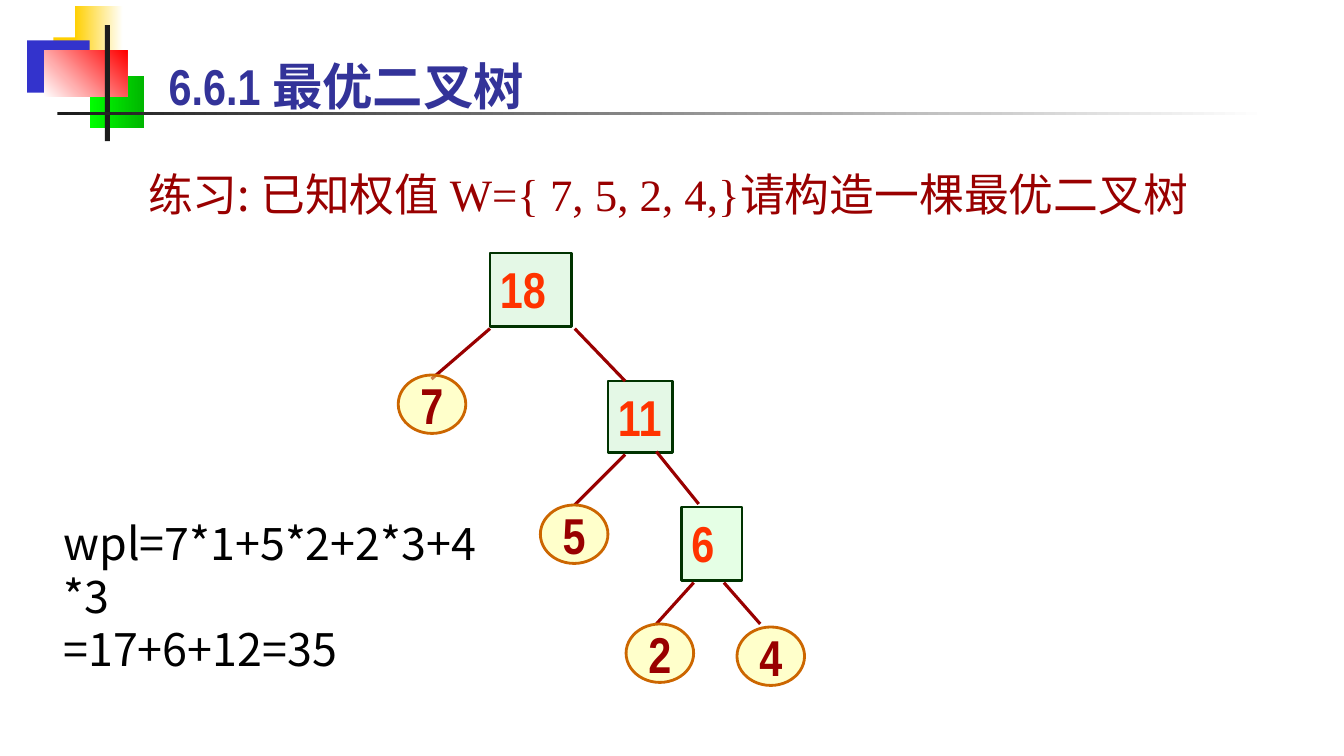
from dataclasses import dataclass
from lxml.etree import SubElement
from pptx import Presentation
from pptx.dml.color import RGBColor
from pptx.enum.shapes import MSO_CONNECTOR, MSO_SHAPE
from pptx.enum.text import MSO_ANCHOR, PP_ALIGN
from pptx.oxml.ns import qn
from pptx.util import Inches, Pt


@dataclass(frozen=True)
class Theme:
    gold: str = "FFCF01"
    blue: str = "3333CC"
    lime: str = "00FF00"
    green: str = "00B600"
    red: str = "FF0000"
    white: str = "FFFFFF"
    black: str = "000000"
    ink: str = "1C1C1C"
    title: str = "333399"
    maroon: str = "990000"
    mint: str = "CAF2CE"
    pale_mint: str = "CCFFCC"
    forest: str = "003300"
    cream: str = "FFFF99"
    amber: str = "CC6600"
    orange: str = "FF3300"
    narrow: str = "Arial Narrow"
    serif: str = "Times New Roman"
    sans: str = "Noto Sans CJK SC"
    indent_size: int = 40
    title_size: int = 36
    body_size: int = 32


class Deck:
    def __init__(self, theme):
        self.t = theme
        self.prs = Presentation()
        self.prs.slide_width, self.prs.slide_height = Inches(13.33), Inches(7.5)
        self.s = self.prs.slides.add_slide(self.prs.slide_layouts[6])

    def run(self, p, text, font, size, color, bold=False):
        r = p.add_run()
        r.text = text
        for name, value in {"name": font, "size": Pt(size), "bold": bold}.items():
            setattr(r.font, name, value)
        r.font.color.rgb = RGBColor.from_string(color)
        SubElement(r.font._element, qn("a:ea"), typeface=self.t.sans)

    def text(self, at, paragraphs, anchor=MSO_ANCHOR.TOP, spacing=None):
        tf = self.s.shapes.add_textbox(*map(Inches, at)).text_frame
        tf.word_wrap, tf.vertical_anchor = True, anchor
        for i, runs in enumerate(paragraphs):
            p = tf.add_paragraph() if i else tf.paragraphs[0]
            p.line_spacing = spacing
            for r in runs:
                self.run(p, *r)

    def block(self, at, *colors, angle=0, kind=MSO_SHAPE.RECTANGLE):
        sp = self.s.shapes.add_shape(kind, *map(Inches, at))
        sp.shadow.inherit = False
        sp.line.fill.background()
        if len(colors) == 1:
            sp.fill.solid()
            sp.fill.fore_color.rgb = RGBColor.from_string(colors[0])
        else:
            sp.fill.gradient()
            sp.fill.gradient_angle = angle
            for stop, color in zip(sp.fill.gradient_stops, colors):
                stop.color.rgb = RGBColor.from_string(color)
        return sp

    def node(self, at, label, kind, fill, line, color, anchor, align, wrap):
        sp = self.block(at, fill, kind=kind)
        rgb = sp._element.spPr.find(qn("a:solidFill")).find(qn("a:srgbClr"))
        SubElement(rgb, qn("a:alpha"), val="50000")
        sp.line.color.rgb = RGBColor.from_string(line)
        sp.line.width = Pt(2)
        tf = sp.text_frame
        tf.word_wrap, tf.vertical_anchor = wrap, anchor
        p = tf.paragraphs[0]
        p.alignment = align
        self.run(p, label, self.t.narrow, self.t.title_size, color, True)

    def inner(self, at, label, fill, wrap=True):
        self.node(at, label, MSO_SHAPE.RECTANGLE, fill, self.t.forest,
                  self.t.orange, MSO_ANCHOR.TOP, PP_ALIGN.LEFT, wrap)

    def leaf(self, x, y, label):
        self.node((x, y, 0.67, 0.58), label, MSO_SHAPE.OVAL, self.t.cream, self.t.amber,
                  self.t.maroon, MSO_ANCHOR.MIDDLE, PP_ALIGN.CENTER, False)

    def edge(self, *ends):
        c = self.s.shapes.add_connector(MSO_CONNECTOR.STRAIGHT, *map(Inches, ends))
        c.line.color.rgb = RGBColor.from_string(self.t.maroon)
        c.line.width = Pt(2.25)
        SubElement(c._element.spPr, qn("a:effectLst"))


def main():
    t = Theme()
    d = Deck(t)
    d.block((0.53, 0.37, 0.64, 0.52), t.gold)
    d.block((0.74, 0.06, 0.48, 0.52), t.gold, t.white)
    d.block((0.27, 0.4, 0.62, 0.52), t.blue)
    d.block((0.89, 0.75, 0.54, 0.52), t.lime, t.green)
    d.block((0.44, 0.5, 0.82, 0.46), t.white, t.red, angle=45)
    d.block((1.04, 0.25, 0.05, 1.15), t.ink)
    d.block((0.57, 1.11, 12, 0.03), t.ink, t.white)

    d.text((1.37, 1.61, 11.65, 0.64), [[
        ("练习: 已知权值 ", t.sans, t.body_size, t.maroon),
        ("W={ 7, 5, 2, 4,}请构造一棵最优二叉树", t.serif, t.body_size, t.maroon)]])
    d.text((1.02, 0.29, 6.96, 0.92), [[
        ("\u3000", t.serif, t.indent_size, t.title),
        ("6.6.1 最优二叉树", t.narrow, t.title_size, t.title, True)]], MSO_ANCHOR.BOTTOM)

    d.inner((4.86, 2.51, 0.81, 0.73), "18", t.mint)
    d.inner((6.03, 3.78, 0.64, 0.71), "11", t.mint, wrap=False)
    d.inner((6.76, 5.03, 0.6, 0.73), "6", t.pale_mint)
    for ends in ((4.86, 3.26, 4.28, 3.76), (5.7, 3.26, 6.2, 3.78),
                 (6.2, 4.51, 5.7, 5.01), (6.51, 4.48, 6.93, 5),
                 (6.88, 5.78, 6.51, 6.19), (7.18, 5.78, 7.54, 6.19)):
        d.edge(*ends)
    for x, y, label in ((3.95, 3.72, "7"), (5.36, 5.01, "5"),
                        (6.21, 6.19, "2"), (7.31, 6.22, "4")):
        d.leaf(x, y, label)

    d.text((0.53, 5.07, 4.47, 1.18), [
        [(line, t.sans, t.body_size, t.black)]
        for line in ("wpl=7*1+5*2+2*3+4*3", "=17+6+12=35")], spacing=Pt(38))
    d.prs.save("out.pptx")


if __name__ == "__main__":
    main()
